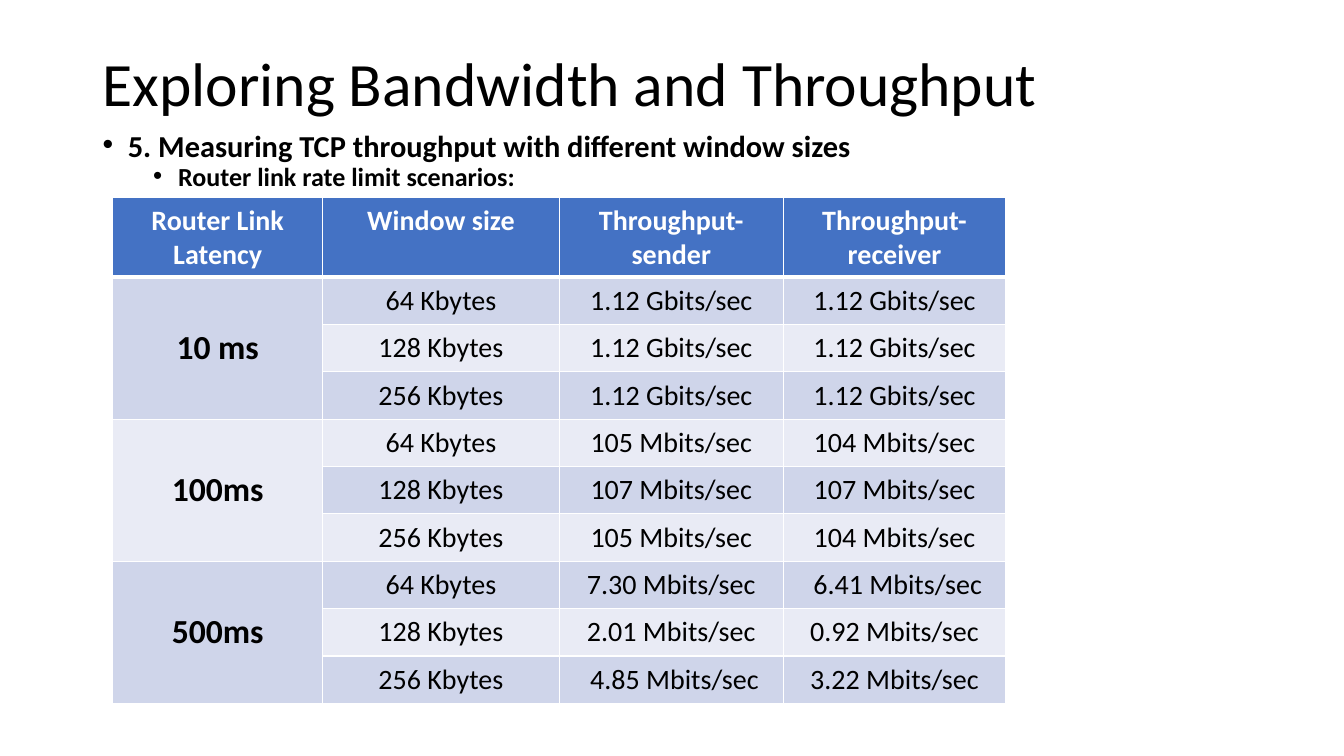
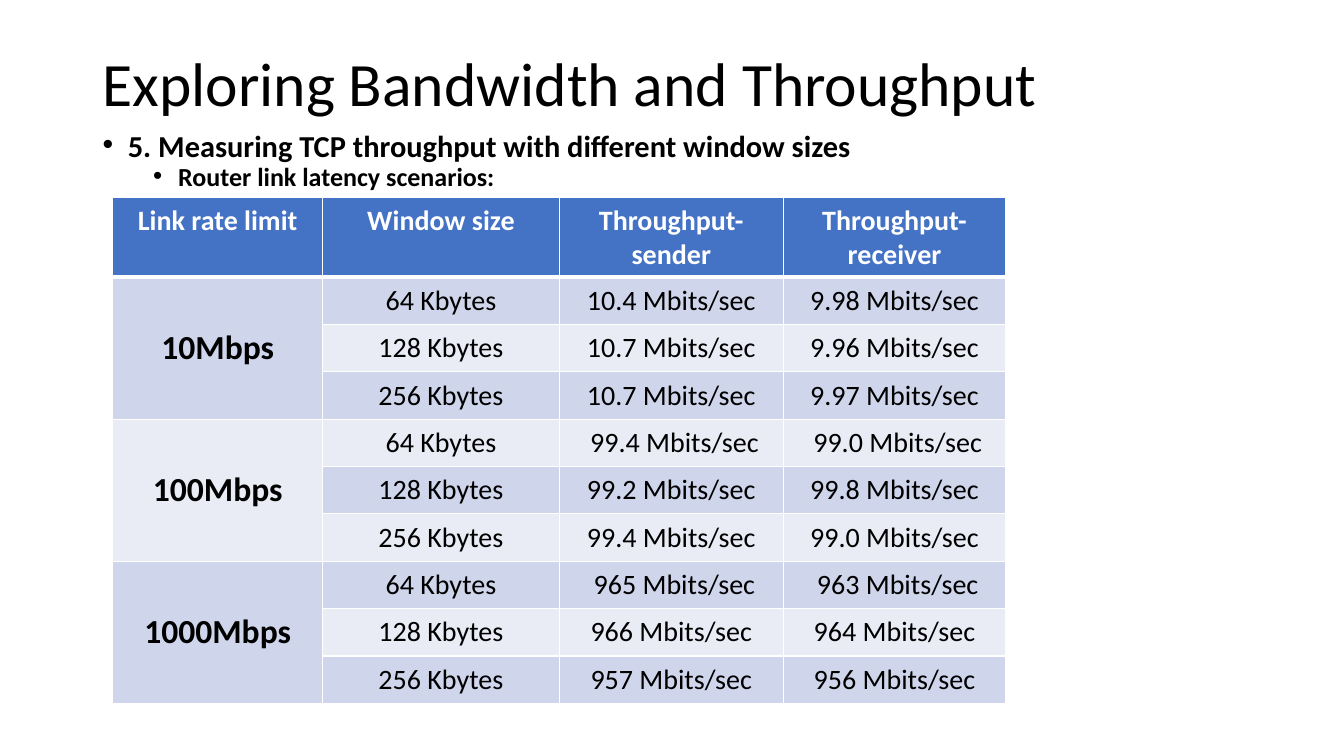
"""Build two slides of TCP throughput tables for different window sizes."""
from lxml import etree
from pptx import Presentation
from pptx.dml.color import RGBColor
from pptx.enum.text import MSO_ANCHOR, PP_ALIGN
from pptx.oxml.ns import qn
from pptx.util import Emu, Inches, Pt

CENTER = PP_ALIGN.CENTER
TOP = MSO_ANCHOR.TOP
MIDDLE = MSO_ANCHOR.MIDDLE

BLACK = RGBColor(0x00, 0x00, 0x00)
WHITE = RGBColor(0xFF, 0xFF, 0xFF)
BLUE = RGBColor(0x44, 0x72, 0xC4)
BANDS = (RGBColor(0xCF, 0xD5, 0xEA), RGBColor(0xE9, 0xEB, 0xF5))
FONT = "Calibri"

TITLE = "Exploring Bandwidth and Throughput"
TOPIC = "5. Measuring TCP throughput with different window sizes"
SHARED_HEADERS = ("Window size", "Throughput-sender", "Throughput-receiver")
WINDOW_SIZES = ("64 Kbytes", "128 Kbytes", "256 Kbytes")

SCENARIOS = [
    {
        "subtopic": "Router link rate limit scenarios:",
        "header": "Router Link Latency",
        "groups": [
            ("10 ms", [("1.12 Gbits/sec", "1.12 Gbits/sec"),
                       ("1.12 Gbits/sec", "1.12 Gbits/sec"),
                       ("1.12 Gbits/sec", "1.12 Gbits/sec")]),
            ("100ms", [("105 Mbits/sec", "104 Mbits/sec"),
                       ("107 Mbits/sec", "107 Mbits/sec"),
                       ("105 Mbits/sec", "104 Mbits/sec")]),
            ("500ms", [("7.30 Mbits/sec", " 6.41 Mbits/sec"),
                       ("2.01 Mbits/sec", "0.92 Mbits/sec"),
                       (" 4.85 Mbits/sec", "3.22 Mbits/sec")]),
        ],
    },
    {
        "subtopic": "Router link latency scenarios:",
        "header": "Link rate limit",
        "groups": [
            ("10Mbps", [("10.4 Mbits/sec", "9.98 Mbits/sec"),
                        ("10.7 Mbits/sec", "9.96 Mbits/sec"),
                        ("10.7 Mbits/sec", "9.97 Mbits/sec")]),
            ("100Mbps", [(" 99.4 Mbits/sec", " 99.0 Mbits/sec"),
                         ("99.2 Mbits/sec", "99.8 Mbits/sec"),
                         ("99.4 Mbits/sec", "99.0 Mbits/sec")]),
            ("1000Mbps", [(" 965 Mbits/sec", " 963 Mbits/sec"),
                          ("966 Mbits/sec", "964 Mbits/sec"),
                          ("957 Mbits/sec", "956 Mbits/sec")]),
        ],
    },
]

LEFT, TEXT_WIDTH = 0.92, 11.5
TITLE_TOP, TITLE_HEIGHT = 0.4, 0.91
BODY_TOP, BODY_HEIGHT = 1.31, 0.65
TABLE_LEFT, TABLE_TOP = 1.12, 1.96
COLUMN_WIDTHS = (2.08, 2.35, 2.22, 2.21)
HEADER_HEIGHT, ROW_HEIGHT = 0.79, 0.47
THIN, THICK = 1, 3


def style_text(para, size, color, bold=False):
    for span in para.runs:
        span.font.name = FONT
        span.font.size = Pt(size)
        span.font.bold = bold
        span.font.color.rgb = color


def add_text_box(page, top, height, anchor):
    box = page.shapes.add_textbox(
        Inches(LEFT), Inches(top), Inches(TEXT_WIDTH), Inches(height))
    box.text_frame.word_wrap = True
    box.text_frame.vertical_anchor = anchor
    return box.text_frame


def add_title(page):
    frame = add_text_box(page, TITLE_TOP, TITLE_HEIGHT, MIDDLE)
    frame.text = TITLE
    frame.paragraphs[0].line_spacing = 0.9
    style_text(frame.paragraphs[0], 44, BLACK)


def set_bullet(para, indent):
    properties = para._p.get_or_add_pPr()
    properties.set("marL", str(Inches(indent)))
    properties.set("indent", str(-Inches(0.25)))
    font = etree.SubElement(properties, qn("a:buFont"))
    font.set("typeface", "Arial")
    etree.SubElement(properties, qn("a:buChar")).set("char", "•")


def add_bullets(page, subtopic):
    frame = add_text_box(page, BODY_TOP, BODY_HEIGHT, TOP)
    frame.text = f"{TOPIC}\n{subtopic}"
    levels = ((21.7, 10, 0.25), (18.6, 5, 0.75))
    for level, (para, (size, space, indent)) in enumerate(zip(frame.paragraphs, levels)):
        para.level = level
        para.line_spacing = 0.7
        para.space_before = Pt(space)
        set_bullet(para, indent)
        style_text(para, size, BLACK, bold=True)


def set_borders(cell, top, bottom):
    properties = cell._tc.get_or_add_tcPr()
    for side, width in (("L", THIN), ("R", THIN), ("T", top), ("B", bottom)):
        line = etree.SubElement(properties, qn(f"a:ln{side}"), w=str(Pt(width)))
        fill = etree.SubElement(line, qn("a:solidFill"))
        etree.SubElement(fill, qn("a:srgbClr"), val=str(WHITE))


def fill_cell(cell, text, row, column):
    is_header = row == 0
    is_group = column == 0 and not is_header
    set_borders(cell, THICK if row == 1 else THIN, THICK if is_header else THIN)
    cell.fill.solid()
    cell.fill.fore_color.rgb = BLUE if is_header else BANDS[(row - 1) % 2]
    cell.vertical_anchor = TOP if is_header else MIDDLE
    cell.margin_left = cell.margin_right = Inches(0.12)
    cell.margin_top = cell.margin_bottom = Inches(0.06)
    cell.text_frame.text = text
    para = cell.text_frame.paragraphs[0]
    para.alignment = CENTER
    style_text(para, 24 if is_group else 20, WHITE if is_header else BLACK,
               bold=is_header or is_group)


def table_rows(scenario):
    rows = [(scenario["header"], *SHARED_HEADERS)]
    for name, rates in scenario["groups"]:
        for index, (window, pair) in enumerate(zip(WINDOW_SIZES, rates)):
            rows.append((name if index == 0 else "", window, *pair))
    return rows


def add_throughput_table(page, scenario):
    rows = table_rows(scenario)
    heights = [HEADER_HEIGHT] + [ROW_HEIGHT] * (len(rows) - 1)
    table = page.shapes.add_table(
        len(rows), len(COLUMN_WIDTHS), Inches(TABLE_LEFT), Inches(TABLE_TOP),
        Inches(sum(COLUMN_WIDTHS)), Inches(sum(heights))).table
    for column, width in zip(table.columns, COLUMN_WIDTHS):
        column.width = Inches(width)
    for row, height in zip(table.rows, heights):
        row.height = Inches(height)
    for row, texts in enumerate(rows):
        for column, text in enumerate(texts):
            fill_cell(table.cell(row, column), text, row, column)
    step = len(WINDOW_SIZES)
    for first in range(1, len(rows), step):
        table.cell(first, 0).merge(table.cell(first + step - 1, 0))


def main():
    deck = Presentation()
    deck.slide_width = Emu(12192000)
    deck.slide_height = Inches(7.5)
    for scenario in SCENARIOS:
        page = deck.slides.add_slide(deck.slide_layouts[6])
        add_title(page)
        add_bullets(page, scenario["subtopic"])
        add_throughput_table(page, scenario)
    deck.save("out.pptx")


if __name__ == "__main__":
    main()
